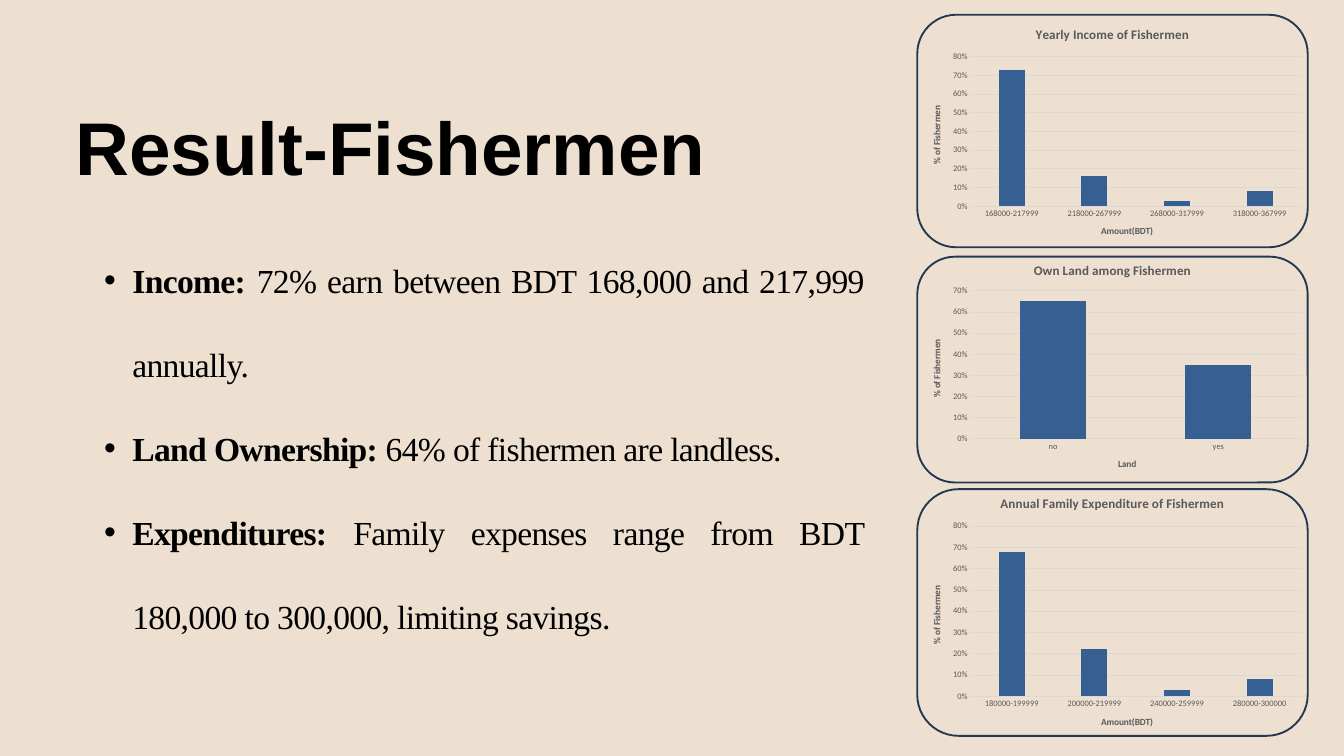
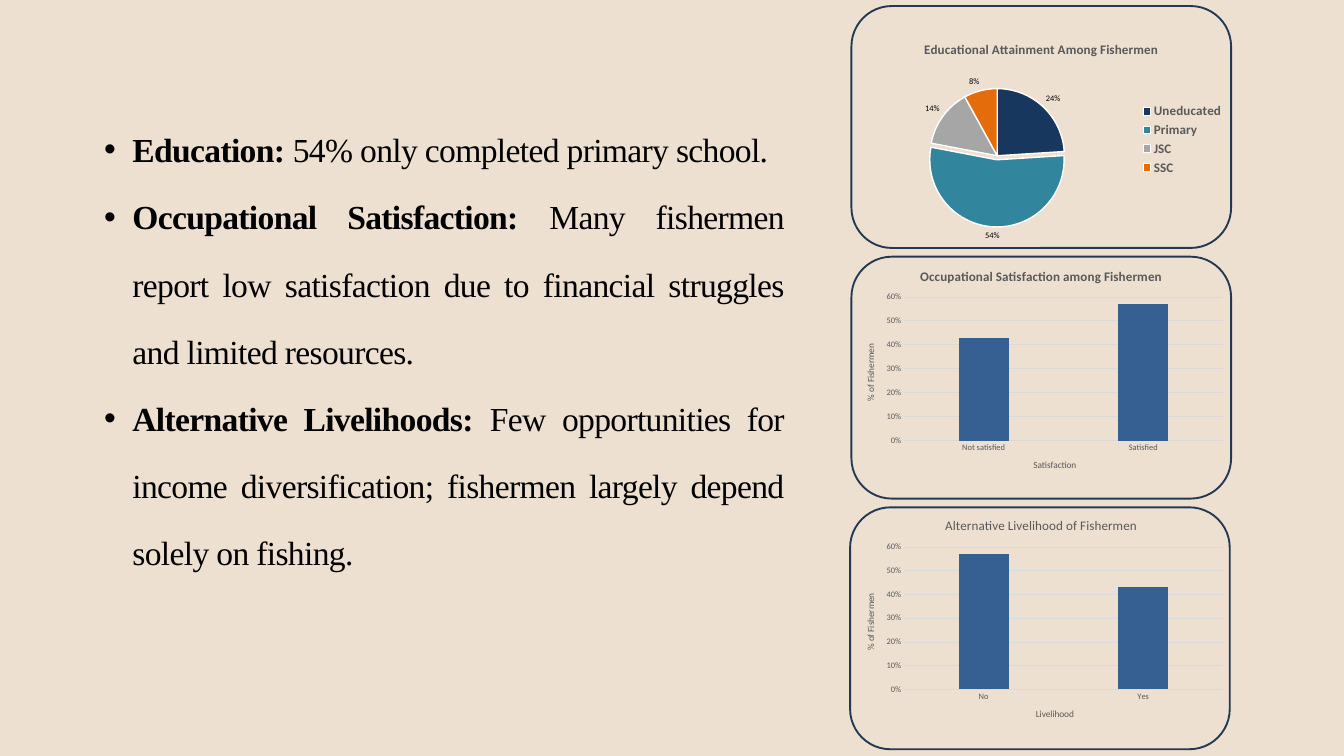
from lxml.etree import SubElement
from pptx import Presentation
from pptx.chart.data import CategoryChartData
from pptx.dml.color import RGBColor
from pptx.enum.chart import XL_CHART_TYPE, XL_LABEL_POSITION, XL_LEGEND_POSITION, XL_TICK_MARK
from pptx.enum.shapes import MSO_SHAPE
from pptx.enum.text import MSO_AUTO_SIZE, PP_ALIGN
from pptx.oxml import parse_xml
from pptx.oxml.ns import nsdecls, qn
from pptx.util import Inches, Pt

BACKGROUND, FRAME, BAR, GRAY, GRID, BLACK, WHITE = (
    "EDE0D1", "233953", "376092", "595959", "D9D9D9", "000000", "FFFFFF")
PIE_COLORS = ["17375E", "31859C", "A6A6A6", "E46C0A"]
COLUMN, STACKED, PIE = (
    XL_CHART_TYPE.COLUMN_CLUSTERED, XL_CHART_TYPE.COLUMN_STACKED, XL_CHART_TYPE.PIE)


def color(hex_string):
    return RGBColor.from_string(hex_string)


def style_font(font, size, hex_string, bold=False, name="Calibri"):
    font.size, font.bold, font.name = Pt(size), bold, name
    font.color.rgb = color(hex_string)


# Boxes are left, top, width, height in inches.
# Each panel: chart type, chart box, frame box, plot box, title, title bold,
# category axis title, axis titles bold, axis maximum, data
slides = [
    {
        "title": "Result-Fishermen",
        "text_box": (1.12, 3.22, 11.74, 6.09),
        "line_spacing": 90,
        "bullets": [
            ("Income: ", "72% earn between BDT 168,000 and 217,999 annually."),
            ("Land Ownership: ", "64% of fishermen are landless."),
            ("Expenditures:", " Family expenses range from BDT 180,000 to 300,000, limiting savings."),
        ],
        "panels": [
            (COLUMN, (13.65, 0.22, 5.81, 3.51), (13.65, 0.22, 5.81, 3.46), (14.44, 0.84, 4.92, 2.23),
             "Yearly Income of Fishermen", True, "Amount(BDT)", True, 0.8,
             {"168000-217999": 0.73, "218000-267999": 0.16, "268000-317999": 0.03, "318000-367999": 0.08}),
            (STACKED, (13.65, 3.73, 5.81, 3.46), (13.65, 3.82, 5.81, 3.36), (14.44, 4.33, 4.92, 2.2),
             "Own Land among Fishermen", True, "Land", True, 0.7, {"no": 0.65, "yes": 0.35}),
            (COLUMN, (13.65, 7.19, 5.81, 3.83), (13.65, 7.28, 5.81, 3.67), (14.44, 7.83, 4.92, 2.53),
             "Annual Family Expenditure of Fishermen", True, "Amount(BDT)", True, 0.8,
             {"180000-199999": 0.68, "200000-219999": 0.22, "240000-259999": 0.03, "280000-300000": 0.08}),
        ],
    },
    {
        "title": None,
        "text_box": (1.12, 1.52, 10.55, 6.93),
        "line_spacing": 72,
        "bullets": [
            ("Education:", " 54% only completed primary school."),
            ("Occupational Satisfaction:",
             " Many fishermen report low satisfaction due to financial struggles and limited resources."),
            ("Alternative Livelihoods:",
             " Few opportunities for income diversification; fishermen largely depend solely on fishing."),
        ],
        "panels": [
            (PIE, (12.67, 0.45, 5.65, 3.25), (12.67, 0.09, 5.65, 3.6), (13.84, 1.28, 2, 2.08),
             "Educational Attainment Among Fishermen", True, None, False, None,
             {"Uneducated": 24, "Primary": 54, "JSC": 14, "SSC": 8}),
            (COLUMN, (12.67, 3.82, 5.65, 3.4), (12.67, 3.82, 5.65, 3.6), (13.45, 4.42, 4.75, 2.14),
             "Occupational Satisfaction among Fishermen", True, "Satisfaction", False, 0.6,
             {"Not satisfied": 0.43, "Satisfied": 0.57}),
            (COLUMN, (12.67, 7.53, 5.65, 3.4), (12.65, 7.55, 5.65, 3.6), (13.45, 8.14, 4.75, 2.12),
             "Alternative Livelihood of Fishermen", False, "Livelihood", False, 0.6,
             {"No": 0.57, "Yes": 0.43}),
        ],
    },
]

presentation = Presentation()
presentation.slide_width, presentation.slide_height = Inches(20), Inches(11.25)
master_fill = presentation.slide_master.background.fill
master_fill.solid()
master_fill.fore_color.rgb = color(BACKGROUND)

for content in slides:
    slide = presentation.slides.add_slide(presentation.slide_layouts[6])
    text_boxes = [content["text_box"]]
    if content["title"]:
        text_boxes.insert(0, (1.12, 1.33, 12.53, 1.43))
    frames = []
    for box in text_boxes:
        text_frame = slide.shapes.add_textbox(*map(Inches, box)).text_frame
        text_frame.word_wrap = True
        text_frame.auto_size = MSO_AUTO_SIZE.SHAPE_TO_FIT_TEXT
        text_frame.margin_left = text_frame.margin_right = 0
        text_frame.margin_top = text_frame.margin_bottom = 0
        frames.append(text_frame)

    if content["title"]:
        frames[0].text = content["title"]
        paragraph = frames[0].paragraphs[0]
        paragraph.line_spacing = Pt(108.2)
        style_font(paragraph.runs[0].font, 80, BLACK, True, "Arial")

    for index, parts in enumerate(content["bullets"]):
        paragraph = frames[-1].add_paragraph() if index else frames[-1].paragraphs[0]
        paragraph.level = 1
        paragraph.alignment = PP_ALIGN.JUSTIFY
        paragraph.line_spacing = Pt(content["line_spacing"])
        properties = paragraph._p.get_or_add_pPr()
        properties.set("marL", str(Inches(0.85)))
        properties.set("indent", str(Inches(-0.42)))
        SubElement(properties, qn("a:buFont")).set("typeface", "Arial")
        SubElement(properties, qn("a:buChar")).set("char", "•")
        for text, bold in zip(parts, (True, False)):
            run = paragraph.add_run()
            run.text = text
            style_font(run.font, 36, BLACK, bold, "Times New Roman")
            run._r.get_or_add_rPr().set("spc", "-70")

    for (kind, chart_box, frame_box, plot_box, title, title_bold,
         category_title, axis_bold, maximum, values) in content["panels"]:
        group = slide.shapes.add_group_shape()
        data = CategoryChartData(number_format="General" if kind == PIE else "0%")
        data.categories = list(values)
        data.add_series("Series 1", list(values.values()))
        chart = group.shapes.add_chart(kind, *map(Inches, chart_box), data).chart
        style_font(chart.font, 10, BLACK)
        chart.has_title = True
        chart.chart_title.text_frame.text = title
        style_font(chart.chart_title.text_frame.paragraphs[0].runs[0].font, 14, GRAY, title_bold)
        chart.chart_title.include_in_layout = False
        chart.has_legend = kind == PIE
        plot = chart.plots[0]
        series = plot.series[0]

        if kind == PIE:
            chart.legend.position = XL_LEGEND_POSITION.RIGHT
            chart.legend.include_in_layout = False
            style_font(chart.legend.font, 14, GRAY, True)
            plot.vary_by_categories = True
            for index, pie_color in enumerate(PIE_COLORS):
                point_format = series.points[index].format
                point_format.fill.solid()
                point_format.fill.fore_color.rgb = color(pie_color)
                point_format.line.color.rgb = color(WHITE)
                point_format.line.width = Pt(1.5)
            primary_fill = series._element.findall(qn("c:dPt"))[1].find(qn("c:spPr"))
            primary_fill.addprevious(parse_xml(f'<c:explosion {nsdecls("c")} val="6"/>'))
            labels = series.data_labels
            labels.show_percentage, labels.show_value = True, False
            labels.number_format, labels.number_format_is_linked = "0%", False
            labels.position = XL_LABEL_POSITION.OUTSIDE_END
            style_font(labels.font, 9, BLACK)
        else:
            plot.vary_by_categories = False
            plot.gap_width, plot.overlap = (150, 100) if kind == STACKED else (219, -27)
            series.format.fill.solid()
            series.format.fill.fore_color.rgb = color(BAR)
            category_axis, value_axis = chart.category_axis, chart.value_axis
            for axis, axis_title in ((category_axis, category_title), (value_axis, "% of Fishermen")):
                axis.major_tick_mark = axis.minor_tick_mark = XL_TICK_MARK.NONE
                style_font(axis.tick_labels.font, 9, GRAY)
                axis.axis_title.text_frame.text = axis_title
                style_font(axis.axis_title.text_frame.paragraphs[0].runs[0].font, 10, GRAY, axis_bold)
            value_axis.minimum_scale, value_axis.maximum_scale = 0, maximum
            value_axis.major_unit = 0.1
            value_axis.tick_labels.number_format = "0%"
            value_axis.tick_labels.number_format_is_linked = False
            value_axis.format.line.fill.background()
            for line in (category_axis.format.line, value_axis.major_gridlines.format.line):
                line.color.rgb = color(GRID)
                line.width = Pt(0.75)

        plot_area = plot._element.getparent()
        for layout in plot_area.findall(qn("c:layout")):
            plot_area.remove(layout)
        left, top, width, height = chart_box
        fractions = {"x": (plot_box[0] - left) / width, "y": (plot_box[1] - top) / height,
                     "w": plot_box[2] / width, "h": plot_box[3] / height}
        layout = parse_xml(
            f'<c:layout {nsdecls("c")}><c:manualLayout><c:layoutTarget val="inner"/>'
            '<c:xMode val="edge"/><c:yMode val="edge"/></c:manualLayout></c:layout>')
        for name, fraction in fractions.items():
            SubElement(layout[0], qn(f"c:{name}")).set("val", f"{fraction:.3f}")
        plot_area.insert(0, layout)

        frame = group.shapes.add_shape(MSO_SHAPE.ROUNDED_RECTANGLE, *map(Inches, frame_box))
        frame.shadow.inherit = False
        frame.fill.background()
        frame.line.color.rgb = color(FRAME)
        frame.line.width = Pt(2)

presentation.save("out.pptx")
